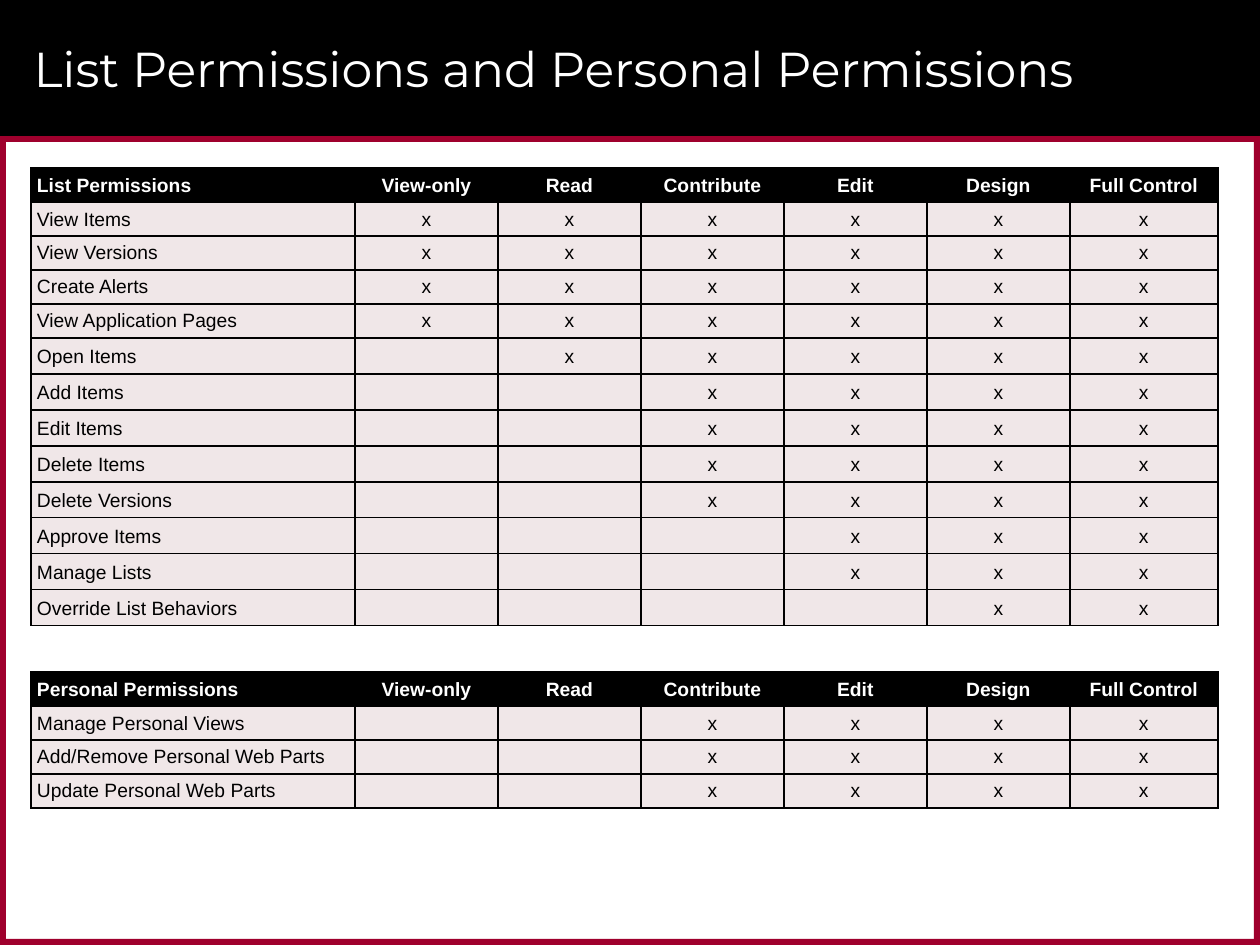
from lxml import etree
from pptx import Presentation
from pptx import util as u
from pptx.dml.color import RGBColor
from pptx.enum import shapes, text
from pptx.oxml import ns

COLORS = {"black": "000000", "white": "FFFFFF", "crimson": "9F002D", "blush": "F0E7E8"}
LEVELS = ["View-only", "Read", "Contribute", "Edit", "Design", "Full Control"]
COLUMN_WIDTHS = [324] + [143] * 5 + [148]
CELL_INSET = 6

LIST_PERMISSIONS = [
    ("View Items", "View-only"),
    ("View Versions", "View-only"),
    ("Create Alerts", "View-only"),
    ("View Application Pages", "View-only"),
    ("Open Items", "Read"),
    ("Add Items", "Contribute"),
    ("Edit Items", "Contribute"),
    ("Delete Items", "Contribute"),
    ("Delete Versions", "Contribute"),
    ("Approve Items", "Edit"),
    ("Manage Lists", "Edit"),
    ("Override List Behaviors", "Design"),
]
PERSONAL_PERMISSIONS = [
    ("Manage Personal Views", "Contribute"),
    ("Add/Remove Personal Web Parts", "Contribute"),
    ("Update Personal Web Parts", "Contribute"),
]


def px(length):
    return u.Emu(round(length * 914400 / 126))


def color(name):
    return RGBColor.from_string(COLORS[name])


def add_band(page, left, top, width, height, fill):
    band = page.shapes.add_shape(
        shapes.MSO_SHAPE.RECTANGLE, px(left), px(top), px(width), px(height))
    band.shadow.inherit = False
    band.fill.solid()
    band.fill.fore_color.rgb = color(fill)
    band.line.fill.background()


def add_frame(page, left, top, width, height, thickness):
    right, bottom = left + width - thickness, top + height - thickness
    add_band(page, left, top, width, thickness, "crimson")
    add_band(page, left, bottom, width, thickness, "crimson")
    add_band(page, left, top, thickness, height, "crimson")
    add_band(page, right, top, thickness, height, "crimson")


def add_header(page, left, top, width, height, wording):
    add_band(page, left, top, width, height, "black")
    title = page.shapes.title
    title.element.getparent().append(title.element)
    title.left, title.top = px(left + 21), px(top + 10)
    title.width, title.height = px(width - 73), px(height - 20)
    frame = title.text_frame
    frame.text = wording
    frame.word_wrap = True
    frame.auto_size = text.MSO_AUTO_SIZE.NONE
    frame.vertical_anchor = text.MSO_ANCHOR.MIDDLE
    para = frame.paragraphs[0]
    para.alignment = text.PP_ALIGN.LEFT
    para.font.name = "Montserrat"
    para.font.size = u.Pt(28)
    para.font.color.rgb = color("white")


def add_borders(cell):
    properties = cell._tc.get_or_add_tcPr()
    for side in ("lnL", "lnR", "lnT", "lnB"):
        line = etree.SubElement(properties, ns.qn(f"a:{side}"), w=str(u.Pt(1)))
        fill = etree.SubElement(line, ns.qn("a:solidFill"))
        etree.SubElement(fill, ns.qn("a:srgbClr"), val=COLORS["black"])


def fill_cell(cell, wording, is_header, is_label):
    add_borders(cell)
    cell.fill.solid()
    cell.fill.fore_color.rgb = color("black" if is_header else "blush")
    cell.margin_left = cell.margin_right = px(CELL_INSET)
    cell.margin_top = cell.margin_bottom = px(CELL_INSET)
    cell.vertical_anchor = text.MSO_ANCHOR.BOTTOM
    cell.text = wording
    para = cell.text_frame.paragraphs[0]
    para.alignment = text.PP_ALIGN.LEFT if is_label else text.PP_ALIGN.CENTER
    para.font.name = "Arial"
    para.font.size = u.Pt(11)
    para.font.bold = is_header
    para.font.color.rgb = color("white" if is_header else "black")
    if not wording:
        etree.SubElement(para._p, ns.qn("a:endParaRPr"), sz="1100")


def add_permission_table(page, left, top, heading, permissions, row_heights):
    rows = [[heading] + LEVELS]
    for permission, lowest in permissions:
        first = LEVELS.index(lowest)
        rows.append([permission] + [""] * first + ["x"] * (len(LEVELS) - first))
    table = page.shapes.add_table(
        len(rows), len(COLUMN_WIDTHS), px(left), px(top),
        px(sum(COLUMN_WIDTHS)), px(sum(row_heights))).table
    table.first_row = table.horz_banding = False
    for column, width in zip(table.columns, COLUMN_WIDTHS):
        column.width = px(width)
    for r, (row, height) in enumerate(zip(rows, row_heights)):
        table.rows[r].height = px(height)
        for c, wording in enumerate(row):
            fill_cell(table.cell(r, c), wording, r == 0, c == 0)


def main():
    deck = Presentation()
    deck.slide_width, deck.slide_height = px(1260), px(945)
    page = deck.slides.add_slide(deck.slide_layouts[5])
    add_frame(page, 0, 136, 1260, 809, 6)
    add_header(page, 0, 0, 1260, 136, "List Permissions and Personal Permissions")
    add_permission_table(
        page, 31, 168, "List Permissions", LIST_PERMISSIONS, [34] * 5 + [36] * 8)
    add_permission_table(
        page, 31, 672, "Personal Permissions", PERSONAL_PERMISSIONS, [34] * 4)
    deck.save("out.pptx")


if __name__ == "__main__":
    main()
